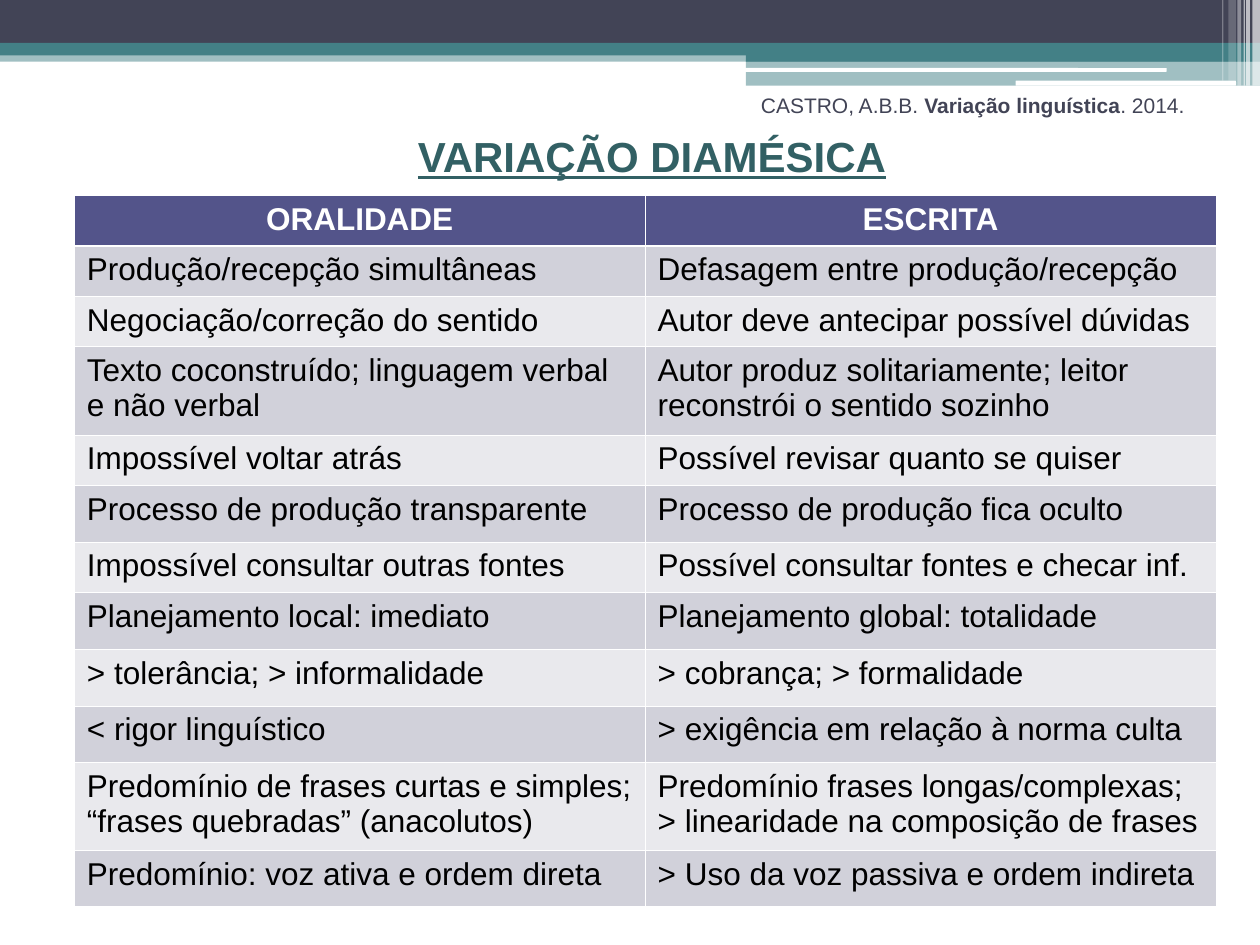
from dataclasses import dataclass

from lxml import etree
from pptx import Presentation, util as u
from pptx.dml.color import RGBColor
from pptx.enum import shapes, text
from pptx.oxml.ns import qn


@dataclass(frozen=True)
class Theme:
    font: str = "Arial"
    dark: str = "424456"
    teal: str = "438086"
    title: str = "326064"
    header: str = "53548A"
    bands: tuple = ("D1D1DA", "E9E9ED")
    white: str = "FFFFFF"
    black: str = "000000"
    source_size: int = 12
    title_size: int = 24
    table_size: int = 18
    thin: float = 0.45
    thick: float = 1.47


T = Theme()

SOURCE = [("CASTRO, A.B.B. ", False), ("Variação linguística", True), (". 2014.", False)]
TITLE = "VARIAÇÃO DIAMÉSICA"

# Row height, spoken language, written language; a line break starts a paragraph
ROWS = [
    (0.4, "ORALIDADE", "ESCRITA"),
    (0.4, "Produção/recepção simultâneas", "Defasagem entre produção/recepção"),
    (0.4, "Negociação/correção do sentido", "Autor deve antecipar possível dúvidas"),
    (0.7, "Texto coconstruído; linguagem verbal e não verbal",
     "Autor produz solitariamente; leitor reconstrói o sentido sozinho"),
    (0.4, "Impossível voltar atrás", "Possível revisar quanto se quiser"),
    (0.45, "Processo de produção transparente", "Processo de produção fica oculto"),
    (0.4, "Impossível consultar outras fontes", "Possível consultar fontes e checar inf."),
    (0.45, "Planejamento local: imediato", "Planejamento global: totalidade"),
    (0.45, "> tolerância; > informalidade", "> cobrança; > formalidade"),
    (0.45, "< rigor linguístico", "> exigência em relação à norma culta"),
    (0.7, "Predomínio de frases curtas e simples;\n“frases quebradas” (anacolutos)",
     "Predomínio frases longas/complexas;\n> linearidade na composição de frases"),
    (0.44, "Predomínio: voz ativa e ordem direta", "> Uso da voz passiva e ordem indireta"),
]

# Left, top, width, height, colour, opacity in percent
BANDS = [
    (0, 0.4, 10, 0.09, T.teal, 50),
    (0, 0, 10, 0.34, T.dark, 100),
    (0, 0.34, 10, 0.1, T.teal, 100),
    (5.92, 0.39, 4.08, 0.1, T.teal, 100),
    (5.92, 0.48, 4.08, 0.2, T.teal, 50),
]
ROUNDED_LINES = [(5.91, 0.54, 3.35, 0.03, T.white, 100), (8.06, 0.64, 1.75, 0.04, T.white, 100)]
# Left, width, height, opacity of the upright stripes at the right edge
STRIPES = [(9.94, 0.06, 0.68, 65), (9.89, 0.03, 0.68, 65), (9.87, 0.01, 0.68, 60),
           (9.82, 0.03, 0.68, 40), (9.75, 0.06, 0.64, 20), (9.7, 0.01, 0.64, 30)]


def rgb(color):
    return RGBColor.from_string(color)


def add_block(s, left, top, width, height, color, opacity, kind=shapes.MSO_SHAPE.RECTANGLE):
    sp = s.shapes.add_shape(kind, *map(u.Inches, (left, top, width, height)))
    sp.shadow.inherit = False
    sp.line.fill.background()
    sp.fill.solid()
    sp.fill.fore_color.rgb = rgb(color)
    if opacity < 100:
        clr = sp.fill._xPr.find(".//" + qn("a:srgbClr"))
        etree.SubElement(clr, qn("a:alpha"), val=str(opacity * 1000))


def set_font(font, size, color, bold=None):
    font.name, font.size, font.bold = T.font, u.Pt(size), bold
    font.color.rgb = rgb(color)


def add_text(s, left, top, width, height, anchor, align):
    """Add a wrapping text box; return its first paragraph."""
    tf = s.shapes.add_textbox(*map(u.Inches, (left, top, width, height))).text_frame
    tf.word_wrap = True
    tf.vertical_anchor = anchor
    p = tf.paragraphs[0]
    p.alignment = align
    return p


def set_borders(cell, **widths):
    """Draw white borders; keys are the side tags, given in schema order."""
    tc_pr = cell._tc.get_or_add_tcPr()
    for i, (side, width) in enumerate(widths.items()):
        ln = etree.Element(qn("a:" + side), w=str(u.Pt(width)))
        fill = etree.SubElement(ln, qn("a:solidFill"))
        etree.SubElement(fill, qn("a:srgbClr"), val=T.white)
        tc_pr.insert(i, ln)


def add_comparison(s, left, top, width):
    height = sum(row[0] for row in ROWS)
    table = s.shapes.add_table(len(ROWS), 2, *map(u.Inches, (left, top, width, height))).table
    for col in table.columns:
        col.width = u.Inches(width / 2)
    for i, (row_height, *texts) in enumerate(ROWS):
        table.rows[i].height = u.Inches(row_height)
        head = i == 0
        for cell, words in zip(table.rows[i].cells, texts):
            cell.fill.solid()
            cell.fill.fore_color.rgb = rgb(T.header if head else T.bands[(i - 1) % 2])
            set_borders(cell, lnL=T.thin, lnR=T.thin,
                        lnT=T.thick if i == 1 else T.thin, lnB=T.thick if head else T.thin)
            cell.text_frame.text = words
            for p in cell.text_frame.paragraphs:
                p.alignment = text.PP_ALIGN.CENTER if head else text.PP_ALIGN.LEFT
                set_font(p.font, T.table_size, T.white if head else T.black, head)


def main():
    prs = Presentation()
    prs.slide_width, prs.slide_height = u.Inches(10), u.Inches(7.5)
    s = prs.slides.add_slide(prs.slide_layouts[6])

    for band in BANDS:
        add_block(s, *band)
    for line in ROUNDED_LINES:
        add_block(s, *line, kind=shapes.MSO_SHAPE.ROUNDED_RECTANGLE)
    for left, width, height, opacity in STRIPES:
        add_block(s, left, 0, width, height, T.white, opacity)

    p = add_text(s, 0.5, 0.68, 9, 0.31, text.MSO_ANCHOR.MIDDLE, text.PP_ALIGN.RIGHT)
    set_font(p.font, T.source_size, T.dark)
    for words, bold in SOURCE:
        r = p.add_run()
        r.text, r.font.bold = words, bold

    p = add_text(s, 0.5, 0.99, 9.23, 0.5, text.MSO_ANCHOR.TOP, text.PP_ALIGN.CENTER)
    p._p.get_or_add_pPr().set("marL", str(u.Inches(0.12)))
    p.text = TITLE
    set_font(p.font, T.title_size, T.title, True)
    p.font.underline = True

    add_comparison(s, 0.59, 1.55, 9.06)
    prs.save("out.pptx")


if __name__ == "__main__":
    main()
